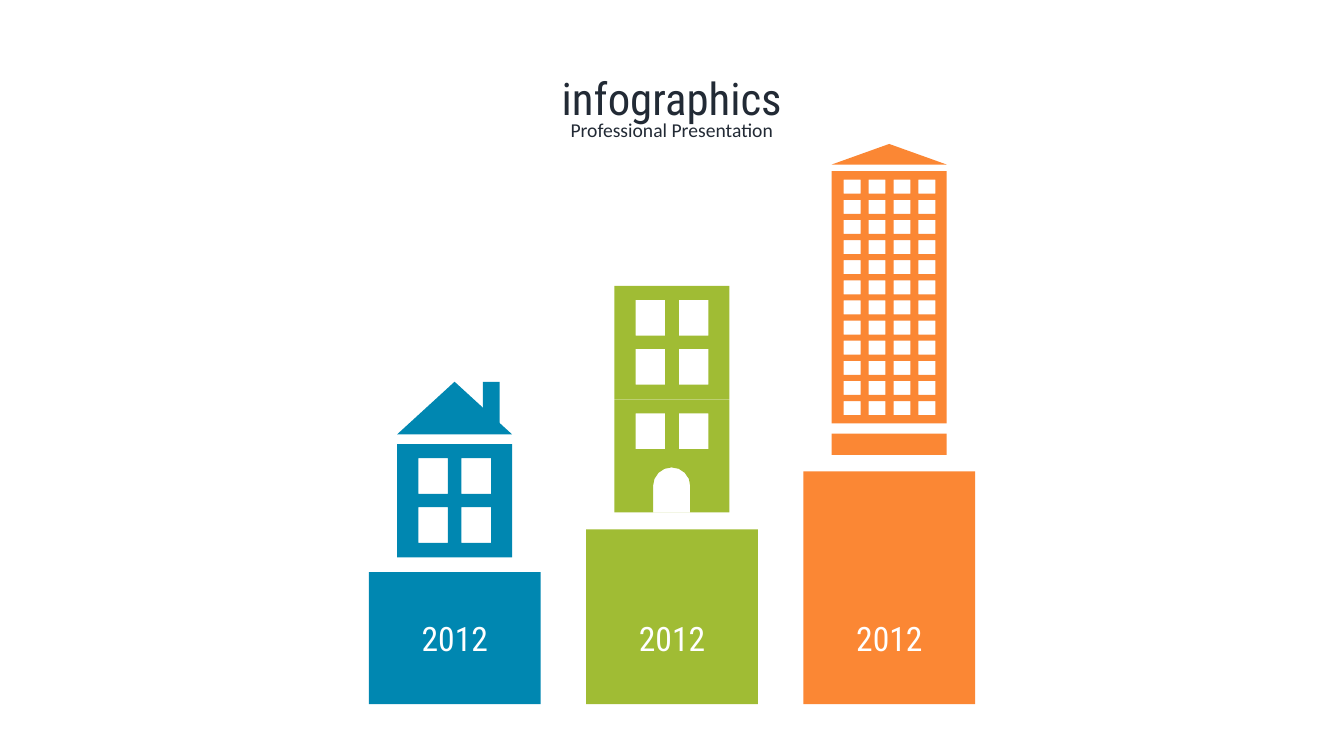
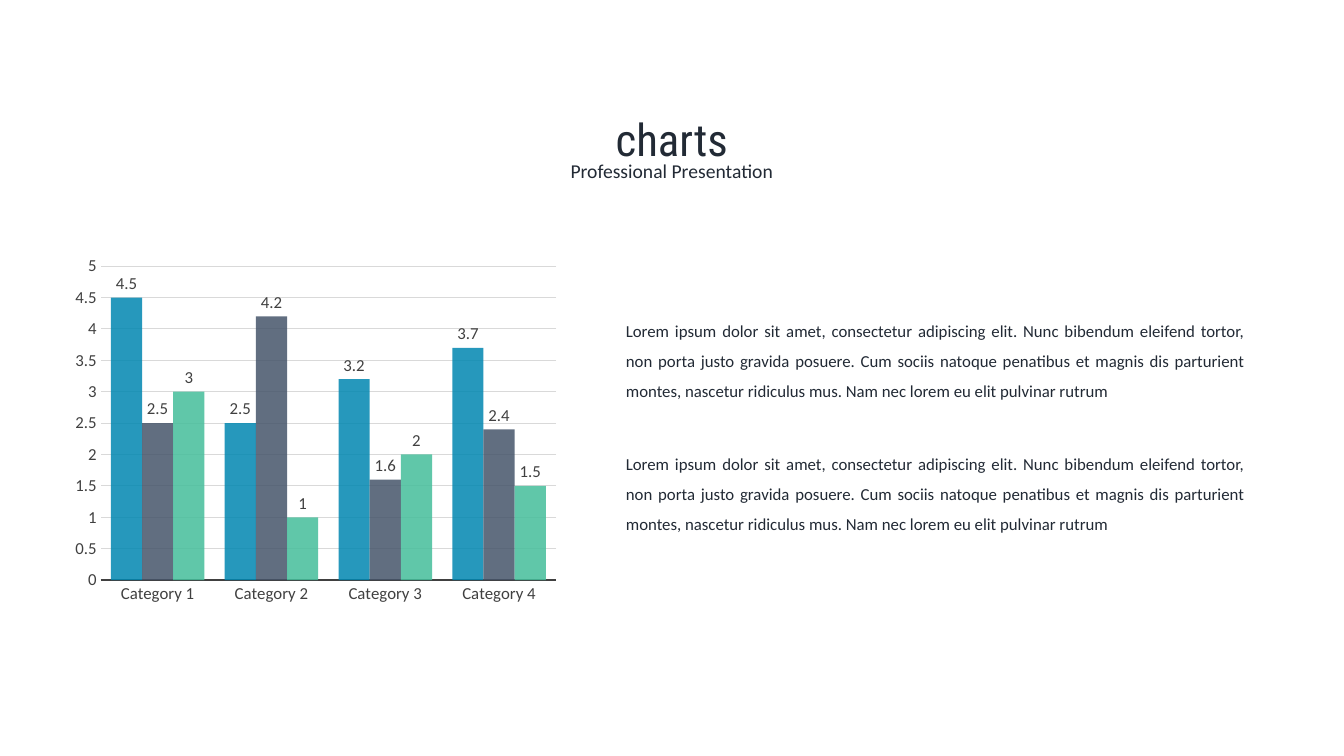
"""Build an infographic slide of growing buildings and a column chart slide."""
from dataclasses import dataclass
from itertools import product
from math import cos, pi, sin

from lxml import etree
from pptx import Presentation
from pptx.chart import data as chart_data
from pptx.dml.color import RGBColor
from pptx.enum import chart as charts, shapes, text
from pptx.oxml import ns
from pptx.util import Pt

BLUE = RGBColor(0x00, 0x87, 0xB1)
GREEN = RGBColor(0xA0, 0xBC, 0x34)
ORANGE = RGBColor(0xFB, 0x87, 0x34)
SLATE = RGBColor(0x46, 0x55, 0x6A)
MINT = RGBColor(0x45, 0xBE, 0x9B)
NAVY = RGBColor(0x22, 0x2A, 0x35)
WHITE = RGBColor(0xFF, 0xFF, 0xFF)
AXIS_GRAY = RGBColor(0x40, 0x40, 0x40)
GRID_GRAY = RGBColor(0xD9, 0xD9, 0xD9)

HEADING_FONT = "Roboto Condensed"
BODY_FONT = "Calibri"

PLINTH_LEFT, PLINTH_PITCH, PLINTH_WIDTH, GROUND = 263.5, 155.2, 122.7, 503
BUILDING_INSET, BUILDING_WIDTH = 20.2, 82.1
STOREY_HEIGHT = 80.8
DOOR_CENTER, DOOR_RADIUS, DOOR_SPRING = 40.9, 13.3, 61.9
BODY_TEXT = (
    "Lorem ipsum dolor sit amet, consectetur adipiscing elit. Nunc bibendum eleifend tortor, "
    "non porta justo gravida posuere. Cum sociis natoque penatibus et magnis dis parturient "
    "montes, nascetur ridiculus mus. Nam nec lorem eu elit pulvinar rutrum"
)

Contour = list[tuple[float, float]]


@dataclass(frozen=True)
class Windows:
    """A regular grid of windows, measured from the corner of its wall."""
    rows: int
    left: float = 15.2
    top: float = 10
    width: float = 21.1
    height: float = 25.5
    pitch_x: float = 30.8
    pitch_y: float = 35
    columns: int = 2

    def contours(self) -> list[Contour]:
        """Return the outline of every window."""
        return [
            rectangle(self.left + column * self.pitch_x, self.top + row * self.pitch_y,
                      self.width, self.height)
            for row, column in product(range(self.rows), range(self.columns))
        ]


@dataclass(frozen=True)
class Block:
    """A plain preset shape, offset from the left of its building."""
    kind: shapes.MSO_SHAPE
    top: float
    height: float
    left: float = 0
    width: float = BUILDING_WIDTH


@dataclass(frozen=True)
class Wall:
    """A wall pierced by windows and perhaps a door."""
    top: float
    height: float
    windows: Windows
    has_door: bool = False


@dataclass(frozen=True)
class Column:
    """A plinth with a year and the building above it."""
    year: str
    color: RGBColor
    plinth_top: float
    blocks: tuple[Block, ...]
    walls: tuple[Wall, ...]


@dataclass(frozen=True)
class Series:
    """One coloured set of chart values."""
    name: str
    color: RGBColor
    values: tuple[float, ...]


RECTANGLE = shapes.MSO_SHAPE.RECTANGLE
TRIANGLE = shapes.MSO_SHAPE.ISOSCELES_TRIANGLE
TOWER_WINDOWS = Windows(12, 8.6, 6.2, 12, 10, 17.8, 14.37, 4)
COLUMNS = (
    Column("2012", BLUE, 408.7,
           (Block(TRIANGLE, 272.7, 37.6), Block(RECTANGLE, 272.7, 29.5, 61.2, 12)),
           (Wall(317.3, STOREY_HEIGHT, Windows(2)),)),
    Column("2012", GREEN, 378.2, (),
           (Wall(204.3, STOREY_HEIGHT, Windows(2)),
            Wall(285.3, STOREY_HEIGHT, Windows(1), has_door=True))),
    Column("2012", ORANGE, 336.7,
           (Block(TRIANGLE, 102.8, 14.7), Block(RECTANGLE, 309.8, 15.1)),
           (Wall(122.2, 180.2, TOWER_WINDOWS),)),
)
CATEGORIES = [f"Category {number}" for number in range(1, 5)]
SERIES = (
    Series("Series 1", BLUE, (4.5, 2.5, 3.2, 3.7)),
    Series("Series 2", SLATE, (2.5, 4.2, 1.6, 2.4)),
    Series("Series 3", MINT, (3, 1, 2, 1.5)),
)


def rectangle(left: float, top: float, width: float, height: float) -> Contour:
    """Return the four corners of a rectangle."""
    right, bottom = left + width, top + height
    return [(left, top), (left, bottom), (right, bottom), (right, top)]


def doorway(bottom: float) -> Contour:
    """Return an arched door that stands on the foot of a wall."""
    arch = [(DOOR_CENTER + DOOR_RADIUS * cos(step * pi / 8),
             DOOR_SPRING - DOOR_RADIUS * sin(step * pi / 8)) for step in range(9)]
    return [(DOOR_CENTER + DOOR_RADIUS, bottom), *arch, (DOOR_CENTER - DOOR_RADIUS, bottom)]


def paint(shape, color: RGBColor) -> None:
    """Give a shape a flat fill without line or shadow."""
    shape.shadow.inherit = False
    shape.fill.solid()
    shape.fill.fore_color.rgb = color
    shape.line.fill.background()


def add_block(page, block: Block, left: float, color: RGBColor) -> None:
    """Draw a preset shape relative to a left edge."""
    shape = page.shapes.add_shape(block.kind, Pt(left + block.left), Pt(block.top),
                                  Pt(block.width), Pt(block.height))
    paint(shape, color)


def add_wall(page, wall: Wall, left: float, color: RGBColor) -> None:
    """Draw a wall as one outline with openings cut out."""
    contours = [rectangle(0, 0, BUILDING_WIDTH, wall.height), *wall.windows.contours()]
    if wall.has_door:
        contours.append(doorway(wall.height))
    placed = [[(Pt(left + x), Pt(wall.top + y)) for x, y in contour] for contour in contours]
    builder = page.shapes.build_freeform(*placed[0][0])
    for index, contour in enumerate(placed):
        if index:
            builder.move_to(*contour[0])
        builder.add_line_segments(contour[1:], close=True)
    paint(builder.convert_to_shape(), color)


def write(box, content: str, font: str, size: float, color: RGBColor,
          align=text.PP_ALIGN.CENTER, spacing: float = 1.0) -> None:
    """Fill a box with one formatted paragraph."""
    frame = box.text_frame
    frame.text = content
    frame.word_wrap = True
    frame.auto_size = text.MSO_AUTO_SIZE.NONE
    frame.vertical_anchor = text.MSO_ANCHOR.TOP
    para = frame.paragraphs[0]
    para.alignment = align
    para.line_spacing = spacing
    span = para.runs[0]
    span.font.name = font
    span.font.size = Pt(size)
    span.font.color.rgb = color


def add_text(page, left: float, top: float, width: float, height: float,
             content: str, *style, **layout) -> None:
    """Add a text box in the given style."""
    box = page.shapes.add_textbox(Pt(left), Pt(top), Pt(width), Pt(height))
    write(box, content, *style, **layout)


def add_page(deck, heading: str, top: float):
    """Add a slide with the shared heading and subheading."""
    page = deck.slides.add_slide(deck.slide_layouts.get_by_name("Title Only"))
    title = page.shapes.title
    title.left, title.top, title.width, title.height = Pt(63.4), Pt(top), Pt(833), Pt(46)
    write(title, heading, HEADING_FONT, 32, NAVY)
    add_text(page, 63.4, top + 33.8, 833, 24.5, "Professional Presentation",
             BODY_FONT, 14, NAVY)
    return page


def add_column(page, column: Column, left: float) -> None:
    """Draw a plinth, its year and its building."""
    plinth = Block(RECTANGLE, column.plinth_top, GROUND - column.plinth_top, 0, PLINTH_WIDTH)
    add_block(page, plinth, left, column.color)
    for block in column.blocks:
        add_block(page, block, left + BUILDING_INSET, column.color)
    for wall in column.walls:
        add_wall(page, wall, left + BUILDING_INSET, column.color)
    add_text(page, left, 437.8, PLINTH_WIDTH, 36.3, column.year, HEADING_FONT, 24, WHITE)


def style_font(font) -> None:
    """Apply the font shared by axes and data labels."""
    font.name = BODY_FONT
    font.size = Pt(12)
    font.color.rgb = AXIS_GRAY


def place_plot(chart, x: float, y: float, w: float, h: float) -> None:
    """Fix the inner plot area as fractions of the chart."""
    area = chart.element.find(f".//{ns.qn('c:plotArea')}")
    for old in area.findall(ns.qn("c:layout")):
        area.remove(old)
    layout = etree.Element(ns.qn("c:layout"))
    area.insert(0, layout)
    manual = etree.SubElement(layout, ns.qn("c:manualLayout"))
    settings = {"layoutTarget": "inner", "xMode": "edge", "yMode": "edge",
                "x": x, "y": y, "w": w, "h": h}
    for name, value in settings.items():
        etree.SubElement(manual, ns.qn(f"c:{name}")).set("val", str(value))


def add_column_chart(page) -> None:
    """Add the clustered column chart."""
    data = chart_data.CategoryChartData()
    data.categories = CATEGORIES
    for series in SERIES:
        data.add_series(series.name, series.values)
    chart = page.shapes.add_chart(charts.XL_CHART_TYPE.COLUMN_CLUSTERED, Pt(49), Pt(176.4),
                                  Pt(417), Pt(269.3), data).chart
    chart.has_title = chart.has_legend = False
    style_font(chart.font)
    place_plot(chart, 0.055, 0.051, 0.78, 0.833)

    plot = chart.plots[0]
    plot.gap_width = 65
    plot.vary_by_categories = False
    for series, drawn in zip(SERIES, plot.series):
        drawn.format.fill.solid()
        drawn.format.fill.fore_color.rgb = series.color
        drawn.invert_if_negative = False
    fill_color = "/".join(ns.qn(tag) for tag in ("c:spPr", "a:solidFill", "a:srgbClr"))
    for element in chart.element.iter(ns.qn("c:ser")):
        etree.SubElement(element.find(fill_color), ns.qn("a:alpha")).set("val", "85000")
    plot.has_data_labels = True
    labels = plot.data_labels
    labels.show_value = True
    labels.position = charts.XL_LABEL_POSITION.OUTSIDE_END
    style_font(labels.font)

    for axis in (chart.category_axis, chart.value_axis):
        axis.major_tick_mark = axis.minor_tick_mark = charts.XL_TICK_MARK.NONE
        style_font(axis.tick_labels.font)
    chart.category_axis.format.line.color.rgb = AXIS_GRAY
    chart.category_axis.format.line.width = Pt(1.5)
    scale = chart.value_axis
    scale.minimum_scale, scale.maximum_scale, scale.major_unit = 0, 5, 0.5
    scale.format.line.fill.background()
    scale.major_gridlines.format.line.color.rgb = GRID_GRAY
    scale.major_gridlines.format.line.width = Pt(0.75)


def main() -> None:
    """Build and save the deck."""
    deck = Presentation()
    deck.slide_width, deck.slide_height = Pt(960), Pt(540)

    page = add_page(deck, "infographics", 46.8)
    for index, column in enumerate(COLUMNS):
        add_column(page, column, PLINTH_LEFT + index * PLINTH_PITCH)

    page = add_page(deck, "charts", 76.3)
    add_column_chart(page)
    for top in (218.2, 313.2):
        add_text(page, 440, top, 456.5, 72.7, BODY_TEXT, BODY_FONT, 12, NAVY,
                 align=text.PP_ALIGN.JUSTIFY, spacing=1.5)

    deck.save("out.pptx")


if __name__ == "__main__":
    main()
